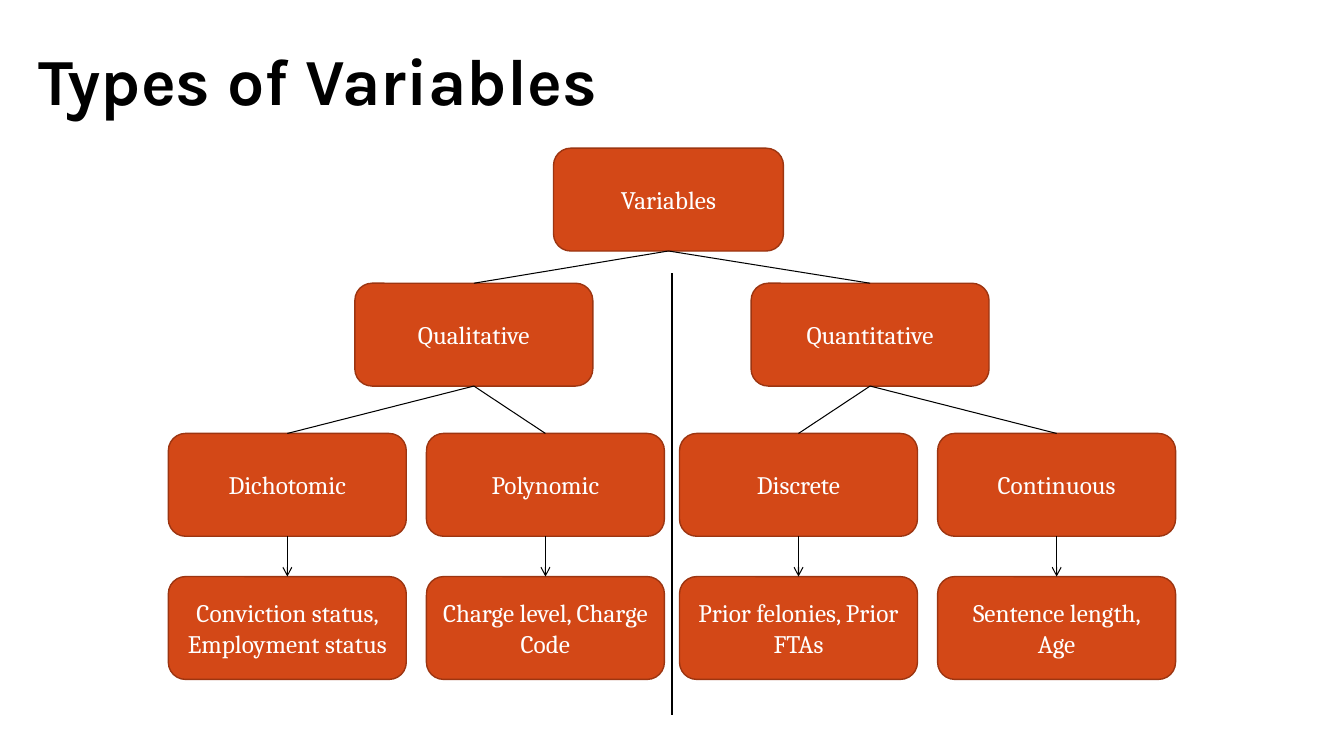
from dataclasses import dataclass

from lxml.etree import SubElement
from pptx import Presentation
from pptx.dml.color import RGBColor
from pptx.enum.shapes import MSO_CONNECTOR, MSO_SHAPE
from pptx.enum.text import MSO_ANCHOR, PP_ALIGN
from pptx.oxml.ns import qn
from pptx.util import Inches, Pt

TITLE = "Types of Variables"
ROOT = "Variables"
BRANCHES = [
    ("Qualitative", [
        ("Dichotomic", "Conviction status, Employment status"),
        ("Polynomic", "Charge level, Charge Code"),
    ]),
    ("Quantitative", [
        ("Discrete", "Prior felonies, Prior FTAs"),
        ("Continuous", "Sentence length, Age"),
    ]),
]


@dataclass(frozen=True)
class Theme:
    """Colours, fonts and sizes used on the slide."""
    box_fill: RGBColor = RGBColor(0xD3, 0x48, 0x17)
    box_line: RGBColor = RGBColor(0x9C, 0x35, 0x11)
    light: RGBColor = RGBColor(0xFF, 0xFF, 0xFF)
    dark: RGBColor = RGBColor(0, 0, 0)
    title_font: str = "Karla"
    body_font: str = "Cambria"
    title_size: int = 47
    body_size: int = 18
    box_line_width: float = 1
    link_width: float = 0.75


THEME = Theme()

# Layout in inches
SLIDE_WIDTH, SLIDE_HEIGHT = 13.33, 7.5
BOX_WIDTH, BOX_HEIGHT, ROOT_WIDTH = 2.36, 1.02, 2.28
ROOT_CENTER = 6.63
BRANCH_CENTERS = (4.7, 8.63)
ROOT_TOP, BRANCH_TOP, TYPE_TOP, EXAMPLE_TOP = 1.47, 2.81, 4.3, 5.72
DIVIDER_X, DIVIDER_TOP, DIVIDER_BOTTOM = SLIDE_WIDTH / 2, 2.71, 7.09
INNER_GAP, COLUMN_GAP = 0.15, 0.2
COLUMN_STEP = BOX_WIDTH + COLUMN_GAP
FIRST_CENTERS = (DIVIDER_X - INNER_GAP / 2 - BOX_WIDTH / 2 - COLUMN_STEP,
                 DIVIDER_X + INNER_GAP / 2 + BOX_WIDTH / 2)
TOP_SITE, BOTTOM_SITE = 0, 2


def write_text(shape, text, *, font, size, color, bold=False,
               align=PP_ALIGN.LEFT, anchor=MSO_ANCHOR.MIDDLE):
    """Put formatted, wrapping text in a shape."""
    frame = shape.text_frame
    frame.word_wrap = True
    frame.vertical_anchor = anchor
    paragraph = frame.paragraphs[0]
    paragraph.alignment = align
    run = paragraph.add_run()
    run.text = text
    run.font.name = font
    run.font.size = Pt(size)
    run.font.bold = bold
    run.font.color.rgb = color


def add_box(slide, text, center, top, width=BOX_WIDTH):
    """Add a rounded box centred on a horizontal position."""
    box = slide.shapes.add_shape(
        MSO_SHAPE.ROUNDED_RECTANGLE, Inches(center - width / 2), Inches(top),
        Inches(width), Inches(BOX_HEIGHT))
    box.shadow.inherit = False
    box.fill.solid()
    box.fill.fore_color.rgb = THEME.box_fill
    box.line.color.rgb = THEME.box_line
    box.line.width = Pt(THEME.box_line_width)
    write_text(box, text, font=THEME.body_font, size=THEME.body_size,
               color=THEME.light, align=PP_ALIGN.CENTER)
    return box


def add_line(slide, x=0, top=0, bottom=0):
    """Add a thin vertical line without a shadow."""
    line = slide.shapes.add_connector(
        MSO_CONNECTOR.STRAIGHT, Inches(x), Inches(top), Inches(x), Inches(bottom))
    line.line.color.rgb = THEME.dark
    line.line.width = Pt(THEME.link_width)
    SubElement(line._element.spPr, qn("a:effectLst"))
    return line


def link(slide, parent, child, arrow=False):
    """Join the bottom of one box to the top of another."""
    line = add_line(slide)
    line.begin_connect(parent, BOTTOM_SITE)
    line.end_connect(child, TOP_SITE)
    if arrow:
        SubElement(line.line._get_or_add_ln(), qn("a:tailEnd"), type="arrow")


def add_tree(slide):
    """Draw the variable tree from the root down to the examples."""
    root = add_box(slide, ROOT, ROOT_CENTER, ROOT_TOP, ROOT_WIDTH)
    for (name, types), center, first in zip(BRANCHES, BRANCH_CENTERS, FIRST_CENTERS):
        branch = add_box(slide, name, center, BRANCH_TOP)
        link(slide, root, branch)
        for column, (kind, examples) in enumerate(types):
            column_center = first + column * COLUMN_STEP
            kind_box = add_box(slide, kind, column_center, TYPE_TOP)
            example_box = add_box(slide, examples, column_center, EXAMPLE_TOP)
            link(slide, branch, kind_box)
            link(slide, kind_box, example_box, arrow=True)


def main():
    """Build and save the slide."""
    presentation = Presentation()
    presentation.slide_width = Inches(SLIDE_WIDTH)
    presentation.slide_height = Inches(SLIDE_HEIGHT)
    slide = presentation.slides.add_slide(presentation.slide_layouts[6])
    add_tree(slide)
    title = slide.shapes.add_textbox(
        Inches(0.28), Inches(0.17), Inches(12.44), Inches(1.06))
    write_text(title, TITLE, font=THEME.title_font, size=THEME.title_size,
               color=THEME.dark, bold=True, anchor=MSO_ANCHOR.BOTTOM)
    add_line(slide, DIVIDER_X, DIVIDER_TOP, DIVIDER_BOTTOM)
    presentation.save("out.pptx")


main()
